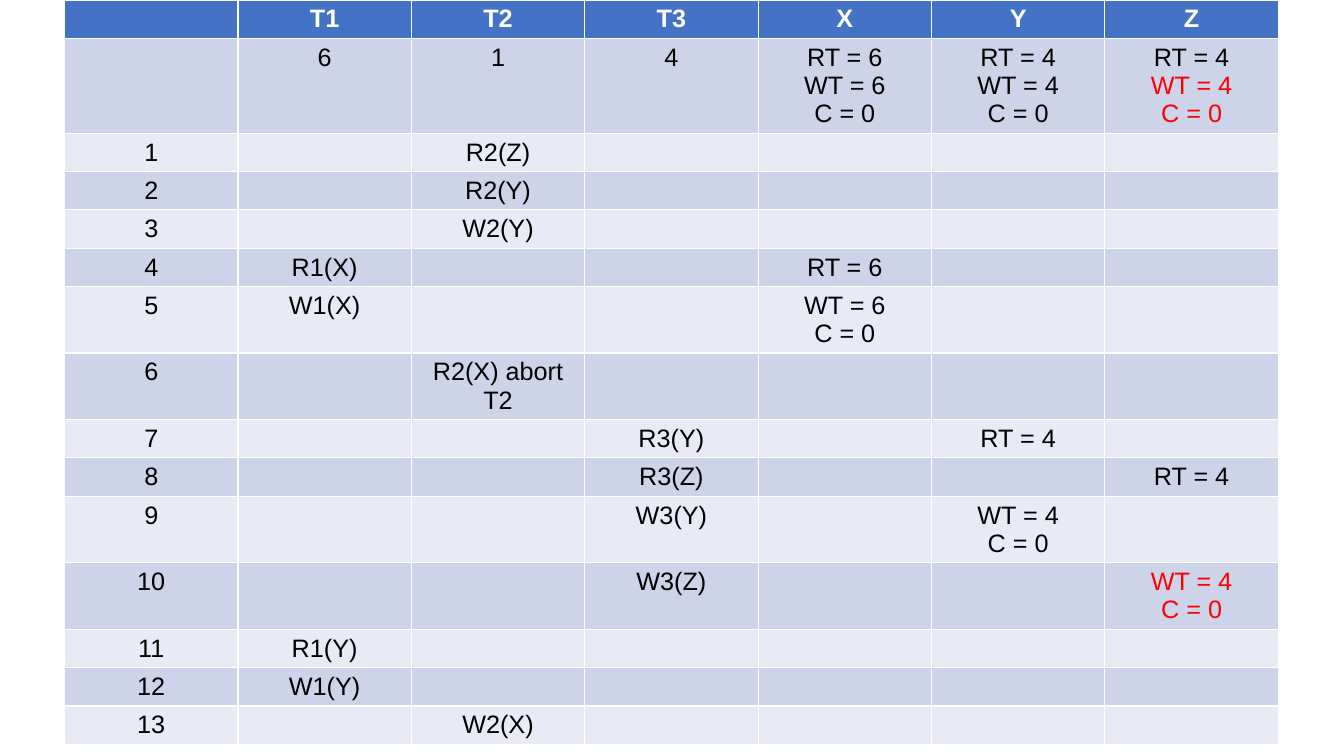
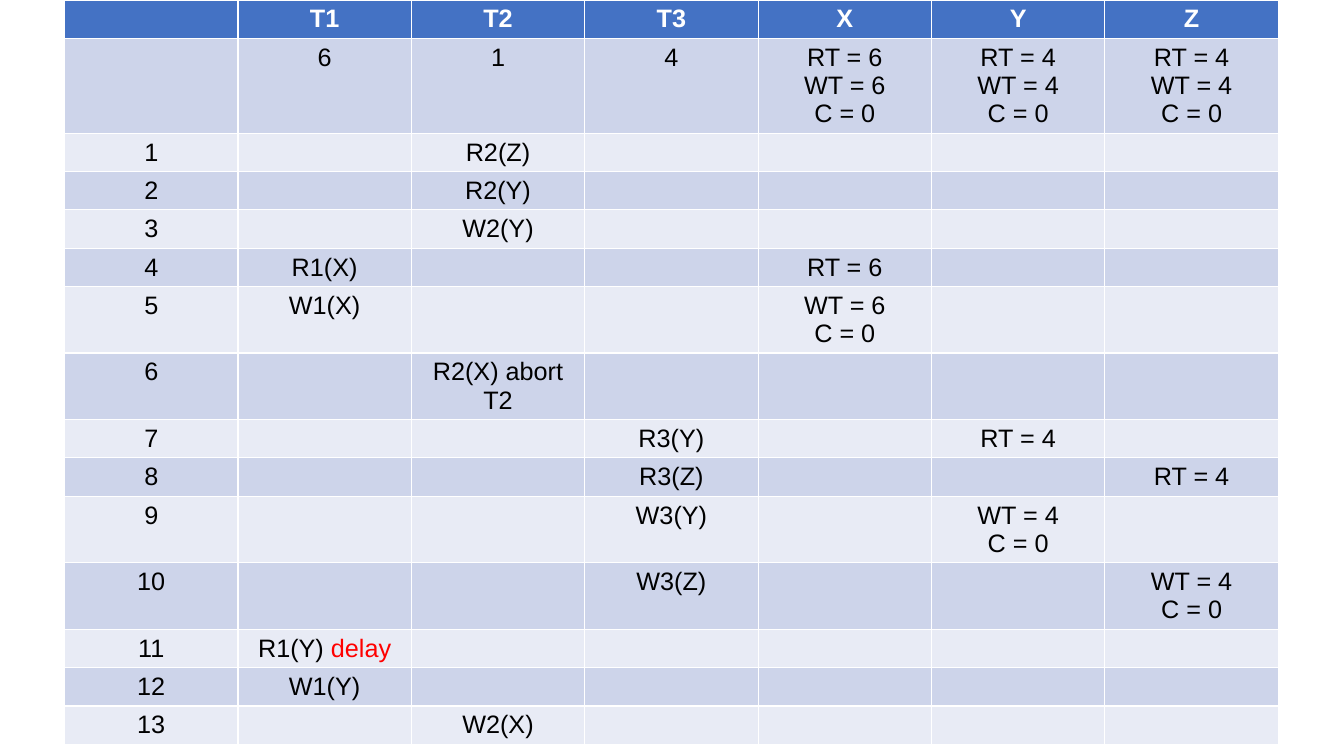
"""Build two slides that trace a timestamp schedule in a table."""
import math

from pptx import Presentation
from pptx import util as u
from pptx.dml.color import RGBColor
from pptx.enum import text

SCALE = 9144
SLIDE_WIDTH, SLIDE_HEIGHT = 1333, 750
TABLE_LEFT, TABLE_TOP, COLUMN_WIDTH = 64, 0, 172
LINE_HEIGHT, CELL_PADDING, LINE_CHARACTERS = 28, 10, 12

FONT, FONT_SIZE = "Arial", 18
WHITE, BLACK, RED = "FFFFFF", "000000", "FF0000"
HEADER_FILL, BAND_FILLS = "4472C4", ("CDD4EA", "E8EBF5")

COLUMNS = ["", "T1", "T2", "T3", "X", "Y", "Z"]
START = {
    "T1": "6", "T2": "1", "T3": "4",
    "X": "RT = 6\nWT = 6\nC = 0",
    "Y": "RT = 4\nWT = 4\nC = 0",
    "Z": "RT = 4\nWT = 4\nC = 0",
}
STEPS = [
    {"T2": "R2(Z)"},
    {"T2": "R2(Y)"},
    {"T2": "W2(Y)"},
    {"T1": "R1(X)", "X": "RT = 6"},
    {"T1": "W1(X)", "X": "WT = 6\nC = 0"},
    {"T2": "R2(X) abort T2"},
    {"T3": "R3(Y)", "Y": "RT = 4"},
    {"T3": "R3(Z)", "Z": "RT = 4"},
    {"T3": "W3(Y)", "Y": "WT = 4\nC = 0"},
    {"T3": "W3(Z)", "Z": "WT = 4\nC = 0"},
    {"T1": "R1(Y)"},
    {"T1": "W1(Y)"},
    {"T2": "W2(X)"},
]
# Text between asterisks is red; keys are step number (0 is the start) and column.
SLIDE_CHANGES = [
    {(0, "Z"): "RT = 4\n*WT = 4*\n*C = 0*", (10, "Z"): "*WT = 4*\n*C = 0*"},
    {(11, "T1"): "R1(Y) *delay*"},
]


def px(length):
    return u.Emu(length * SCALE)


def color(value):
    return RGBColor.from_string(value)


def schedule_rows(changes):
    rows = [COLUMNS]
    for number, step in enumerate([START] + STEPS):
        label = str(number) if number else ""
        rows.append([label] + [changes.get((number, name), step.get(name, ""))
                               for name in COLUMNS[1:]])
    return rows


def row_height(values):
    lines = max(sum(max(1, math.ceil(len(line.replace("*", "")) / LINE_CHARACTERS))
                    for line in value.split("\n")) for value in values)
    return lines * LINE_HEIGHT + CELL_PADDING


def fill_cell(cell, value, fill, font_color, bold):
    cell.fill.solid()
    cell.fill.fore_color.rgb = color(fill)
    frame = cell.text_frame
    for index, line in enumerate(value.split("\n")):
        paragraph = frame.add_paragraph() if index else frame.paragraphs[0]
        paragraph.alignment = text.PP_ALIGN.CENTER
        paragraph.font.name = FONT
        paragraph.font.size = u.Pt(FONT_SIZE)
        paragraph.font.bold = bold
        paragraph.font.color.rgb = color(font_color)
        for part, words in enumerate(line.split("*")):
            if words:
                run = paragraph.add_run()
                run.text = words
                if part % 2:
                    run.font.color.rgb = color(RED)


def add_schedule(slide, rows):
    heights = [row_height(values) for values in rows]
    table = slide.shapes.add_table(
        len(rows), len(COLUMNS), px(TABLE_LEFT), px(TABLE_TOP),
        px(COLUMN_WIDTH * len(COLUMNS)), px(sum(heights))).table
    for column in table.columns:
        column.width = px(COLUMN_WIDTH)
    for index, (values, height) in enumerate(zip(rows, heights)):
        table.rows[index].height = px(height)
        header = index == 0
        fill = HEADER_FILL if header else BAND_FILLS[(index - 1) % 2]
        for cell, value in zip(table.rows[index].cells, values):
            fill_cell(cell, value, fill, WHITE if header else BLACK, header)


def main():
    presentation = Presentation()
    presentation.slide_width = px(SLIDE_WIDTH)
    presentation.slide_height = px(SLIDE_HEIGHT)
    for changes in SLIDE_CHANGES:
        slide = presentation.slides.add_slide(presentation.slide_layouts[6])
        add_schedule(slide, schedule_rows(changes))
    presentation.save("out.pptx")


if __name__ == "__main__":
    main()
